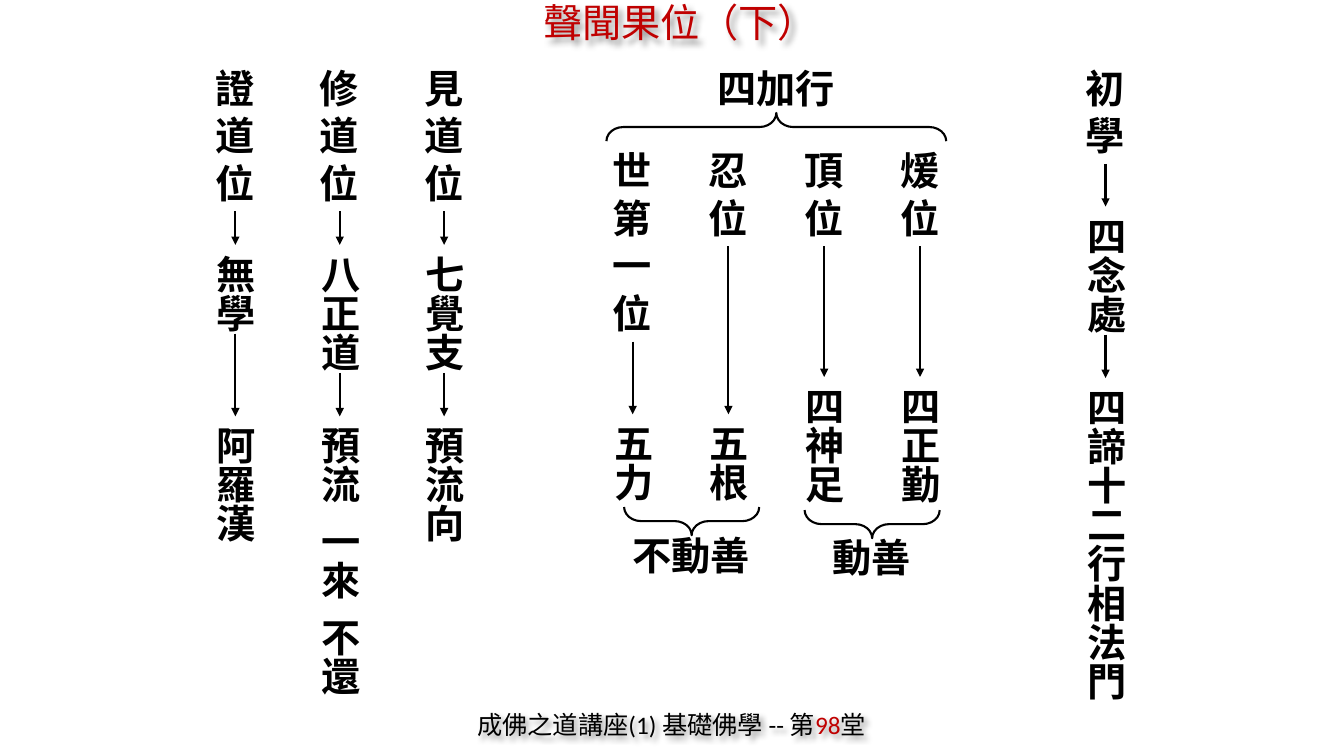
from lxml.etree import SubElement
from pptx import Presentation
from pptx.dml.color import RGBColor
from pptx.enum.shapes import MSO_CONNECTOR as Connector, MSO_SHAPE as Preset
from pptx.enum.text import MSO_ANCHOR as Anchor, MSO_AUTO_SIZE as Fit, PP_ALIGN as Align
from pptx.oxml.ns import qn
from pptx.util import Inches, Pt

BLACK, RED = "000000", "C00000"
CJK, LATIN = "Noto Sans CJK SC", "Calibri"

TITLE = [("聲聞果位（下）", RED)]
FOOTER = [("成佛之道講座(1) 基礎佛學 -- 第", BLACK), ("98", RED), ("堂", BLACK)]

# Group: first column centre, column pitch, heading top, columns.
# Column: heading, then (top, vertical text) for each stage below it.
GROUPS = [
    (2.335, 1.035, 0.58, [
        ("證道位", [(2.43, "無學"), (4.13, "阿羅漢")]),
        ("修道位", [(2.43, "八正道"), (4.13, "預流 一來 不還")]),
        ("見道位", [(2.43, "七覺支"), (4.13, "預流向")]),
    ]),
    (6.275, 0.95, 1.4, [
        ("世第一位", [(4.11, "五力")]),
        ("忍位", [(4.11, "五根")]),
        ("頂位", [(3.74, "四神足")]),
        ("煖位", [(3.74, "四正勤")]),
    ]),
    (10.965, 0, 0.58, [
        ("初學", [(2.05, "四念處"), (3.75, "四諦十二行相法門")]),
    ]),
]

# Label, its top, shared centre, brace top, brace span, brace rotation
BRACES = [
    ("四加行", 0.58, 7.7, 1.12, 3.37, 270),
    ("不動善", 5.22, 6.86, 5.03, 1.34, 90),
    ("動善", 5.24, 8.65, 5.06, 1.34, 90),
]

CHAR, LINE = 0.39, 0.4725      # character width and line pitch at 28 pt
INSET_X, INSET_Y = 0.1, 0.05
BRACE_DEPTH = 0.28

prs = Presentation()
prs.slide_width, prs.slide_height = Inches(13.33), Inches(7.5)
slide = prs.slides.add_slide(prs.slide_layouts[6])
shapes = slide.shapes


def color(value):
    return RGBColor.from_string(value)


def add_run(paragraph, text, size, typeface, ink=BLACK, bold=False):
    run = paragraph.add_run()
    run.text = text
    font = run.font
    font.size, font.name, font.bold = Pt(size), typeface, bold
    font.color.rgb = color(ink)
    SubElement(font._element, qn("a:ea"), typeface=typeface)
    return run


def add_box(left, top, width, height):
    return shapes.add_textbox(*map(Inches, (left, top, width, height)))


def add_label(text, center, top, stacked=False):
    """Horizontal bold text, or one character per line when stacked."""
    lines = list(text) if stacked else [text]
    width = 2 * INSET_X + CHAR * len(lines[0])
    box = add_box(center - width / 2, top, width, 2 * INSET_Y + LINE * len(lines))
    frame = box.text_frame
    frame.word_wrap, frame.auto_size = False, Fit.SHAPE_TO_FIT_TEXT
    paragraph = frame.paragraphs[0]
    paragraph.line_spacing = Pt(34)
    for index, line in enumerate(lines):
        if index:
            paragraph.add_line_break()
        add_run(paragraph, line, 28, CJK, bold=True)
    return box


def add_vertical(text, center, top):
    """Bold text set top to bottom, with widened gaps between words."""
    words = text.split()
    gaps = len(words) - 1
    width = 2 * INSET_X + LINE
    height = 2 * INSET_Y + CHAR * sum(map(len, words)) + 0.2 * gaps
    box = add_box(center - width / 2, top, width, height)
    frame = box.text_frame
    frame.word_wrap, frame.auto_size = False, Fit.SHAPE_TO_FIT_TEXT
    frame.vertical_anchor = Anchor.MIDDLE
    frame._txBody.bodyPr.set("vert", "eaVert")
    paragraph = frame.paragraphs[0]
    paragraph.alignment, paragraph.line_spacing = Align.CENTER, Pt(34)
    for index, word in enumerate(words):
        if index:
            gap = add_run(paragraph, " ", 28, CJK, bold=True)
            gap.font._element.set("spc", "630")
        add_run(paragraph, word, 28, CJK, bold=True)
    return box


def add_arrow(upper, lower):
    x = upper.left + upper.width // 2
    arrow = shapes.add_connector(Connector.STRAIGHT, x, upper.top + upper.height, x, lower.top)
    arrow.begin_connect(upper, 2)
    arrow.end_connect(lower, 0)
    arrow.line.width, arrow.line.color.rgb = Pt(1.5), color(BLACK)
    SubElement(arrow.line._get_or_add_ln(), qn("a:tailEnd"), type="triangle")
    SubElement(arrow._element.spPr, qn("a:effectLst"))


def add_brace(center, top, span, rotation):
    middle = top + BRACE_DEPTH / 2
    brace = shapes.add_shape(Preset.RIGHT_BRACE, *map(Inches, (
        center - BRACE_DEPTH / 2, middle - span / 2, BRACE_DEPTH, span)))
    brace.rotation = rotation
    brace.adjustments[0], brace.adjustments[1] = 0.6, 0.5
    brace.shadow.inherit = False
    brace.fill.background()
    brace.line.width, brace.line.color.rgb = Pt(1.5), color(BLACK)


def add_shadowed(runs, bounds, size, wrap):
    box = add_box(*bounds)
    frame = box.text_frame
    frame.word_wrap, frame.vertical_anchor = wrap, Anchor.MIDDLE
    paragraph = frame.paragraphs[0]
    paragraph.alignment = Align.CENTER
    for text, ink in runs:
        add_run(paragraph, text, size, LATIN, ink)
    effects = SubElement(box._element.spPr, qn("a:effectLst"))
    shadow = SubElement(effects, qn("a:outerShdw"), blurRad="50800", dist="38100",
                        dir="2700000", algn="tl", rotWithShape="0")
    tint = SubElement(shadow, qn("a:prstClr"), val="black")
    SubElement(tint, qn("a:alpha"), val="40000")
    return paragraph


add_shadowed(FOOTER, (4.62, 6.97, 4.08, 0.44), 18, True)
title = add_shadowed(TITLE, (0.35, -0.11, 12.62, 0.85), 28, False)
title.line_spacing = Pt(20)
title._p.get_or_add_pPr().set("indent", str(Inches(0.17)))

for first, pitch, heading_top, columns in GROUPS:
    for index, (heading, stages) in enumerate(columns):
        center = first + index * pitch
        above = add_label(heading, center, heading_top, stacked=True)
        for top, stage in stages:
            below = add_vertical(stage, center, top)
            add_arrow(above, below)
            above = below

for label, label_top, center, brace_top, span, rotation in BRACES:
    add_label(label, center, label_top)
    add_brace(center, brace_top, span, rotation)

prs.save("out.pptx")
